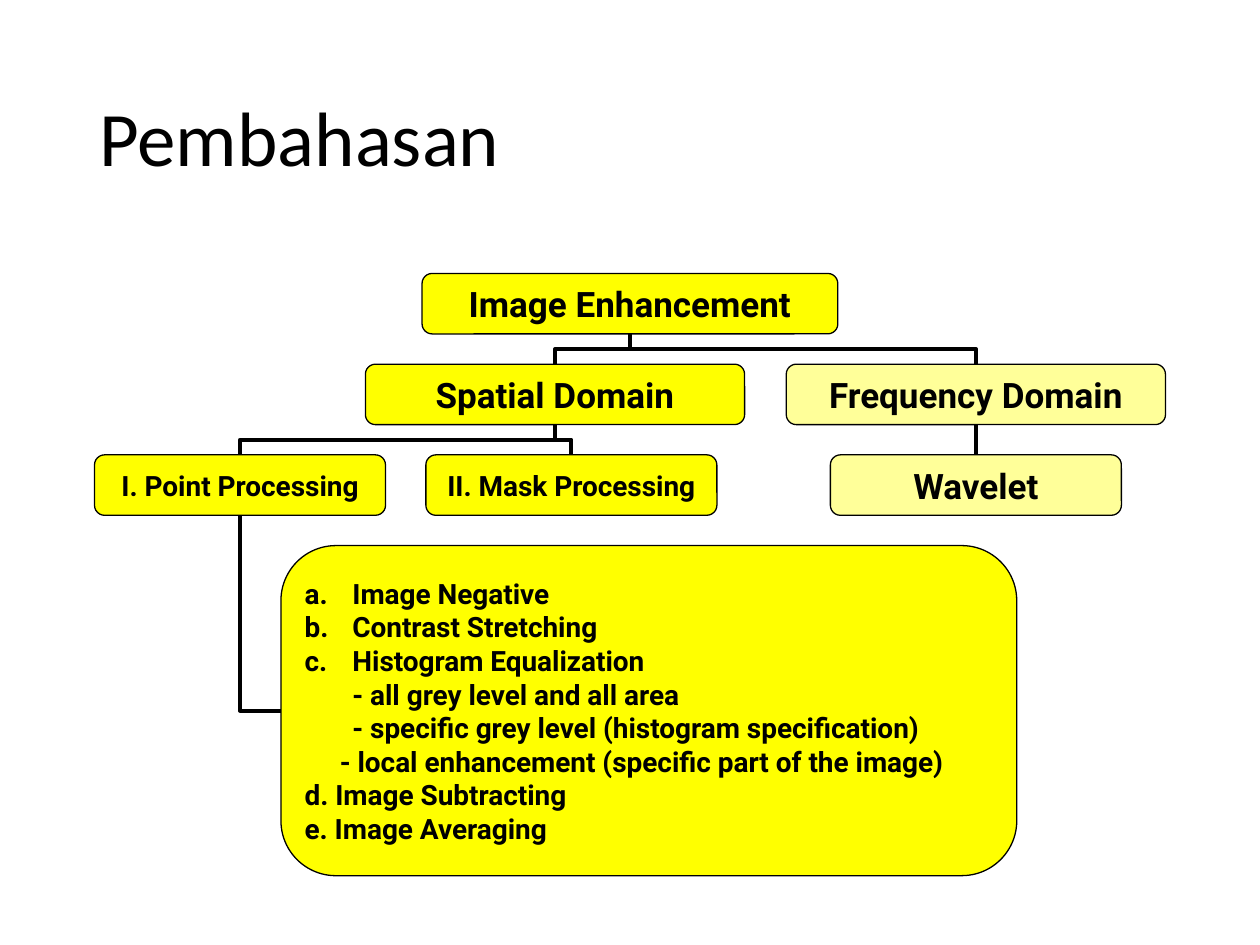
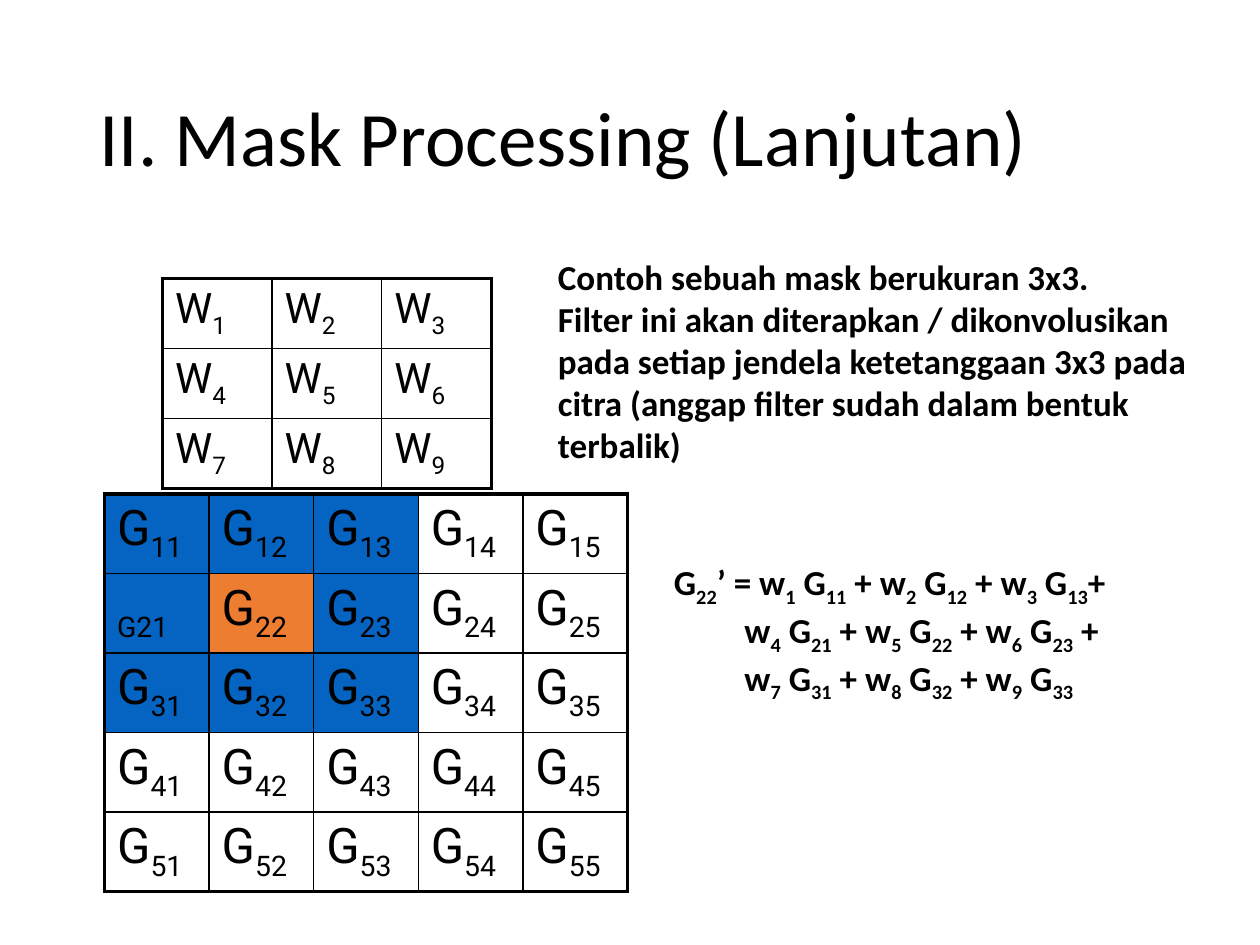
from dataclasses import dataclass

from lxml import etree
from pptx import Presentation
from pptx.dml.color import RGBColor
from pptx.enum.shapes import MSO_CONNECTOR, MSO_SHAPE
from pptx.enum.text import MSO_ANCHOR, PP_ALIGN
from pptx.oxml.ns import qn
from pptx.util import Inches, Pt

ROUNDED = MSO_SHAPE.ROUNDED_RECTANGLE
STRAIGHT, ELBOW = MSO_CONNECTOR.STRAIGHT, MSO_CONNECTOR.ELBOW
MIDDLE, TOP_ANCHOR = MSO_ANCHOR.MIDDLE, MSO_ANCHOR.TOP
CENTER, LEFT_ALIGN = PP_ALIGN.CENTER, PP_ALIGN.LEFT
TOP, LEFT, BOTTOM = 0, 1, 2  # connection sites


@dataclass(frozen=True)
class Theme:
    ink: str = "000000"
    active: str = "FFFF00"
    inactive: str = "FFFF99"
    window: str = "0563C1"
    window_center: str = "ED7D31"
    text_font: str = "Calibri"
    diagram_font: str = "Roboto"
    title_size: int = 44
    body_size: int = 20
    small_size: int = 16
    mask_size: int = 24
    image_size: int = 28
    heavy_line: float = 2.25
    cell_line: float = 1
    box_line: float = 0.75


class Deck:
    """Holds the theme and the slide being built."""

    def __init__(self, theme):
        self.theme = theme
        self.presentation = Presentation()
        self.presentation.slide_width = Inches(10)
        self.presentation.slide_height = Inches(7.5)
        self.slide = None

    def color(self, value):
        return RGBColor.from_string(value)

    def add_text(self, paragraph, text, size, font, bold=False):
        """Add text in which every second part between bars is subscript."""
        for index, part in enumerate(text.split("|")):
            if not part:
                continue
            run = paragraph.add_run()
            run.text = part
            run.font.size = Pt(size)
            run.font.name = font
            run.font.bold = bold
            run.font.color.rgb = self.color(self.theme.ink)
            if index % 2:
                run.font._element.set("baseline", "-25000")

    def indent(self, paragraph, margin, first_line=0, numbered=False):
        properties = paragraph._p.get_or_add_pPr()
        properties.set("marL", str(Inches(margin)))
        properties.set("indent", str(Inches(first_line)))
        if numbered:
            etree.SubElement(properties, qn("a:buAutoNum"), type="alphaLcPeriod")

    def add_slide(self, title):
        self.slide = self.presentation.slides.add_slide(
            self.presentation.slide_layouts[6])
        paragraphs = self.text_box(0.69, 0.4, 8.62, 1.45, [title],
                                   self.theme.title_size, False, MIDDLE)
        paragraphs[0].line_spacing = 0.9

    def fill_lines(self, text_frame, lines, size, font, bold, align=LEFT_ALIGN):
        for index, line in enumerate(lines):
            paragraph = text_frame.add_paragraph() if index else text_frame.paragraphs[0]
            paragraph.alignment = align
            self.add_text(paragraph, line, size, font, bold)

    def text_box(self, left, top, width, height, lines, size,
                 bold=True, anchor=TOP_ANCHOR):
        shape = self.slide.shapes.add_textbox(
            Inches(left), Inches(top), Inches(width), Inches(height))
        text_frame = shape.text_frame
        text_frame.word_wrap = True
        text_frame.vertical_anchor = anchor
        self.fill_lines(text_frame, lines, size, self.theme.text_font, bold)
        return text_frame.paragraphs

    def box(self, left, top, width, height, lines, size, fill,
            align=CENTER, wrap=False):
        shape = self.slide.shapes.add_shape(
            ROUNDED, Inches(left), Inches(top), Inches(width), Inches(height))
        shape.shadow.inherit = False
        shape.fill.solid()
        shape.fill.fore_color.rgb = self.color(fill)
        shape.line.color.rgb = self.color(self.theme.ink)
        shape.line.width = Pt(self.theme.box_line)
        text_frame = shape.text_frame
        text_frame.word_wrap = wrap
        text_frame.vertical_anchor = MIDDLE
        text_frame.margin_left = text_frame.margin_right = Inches(0.06)
        text_frame.margin_top = text_frame.margin_bottom = Inches(0.03)
        self.fill_lines(text_frame, lines, size, self.theme.diagram_font, True, align)
        return shape

    def connect(self, parent, child, kind=ELBOW, child_site=TOP):
        """Join the bottom of the parent to a side of the child."""
        connector = self.slide.shapes.add_connector(kind, 0, 0, 0, 0)
        connector.begin_connect(parent, BOTTOM)
        connector.end_connect(child, child_site)
        connector.line.color.rgb = self.color(self.theme.ink)
        connector.line.width = Pt(self.theme.heavy_line)
        properties = connector._element.spPr
        etree.SubElement(properties, qn("a:effectLst"))
        if kind == ELBOW:
            self.turn_downward(connector)
        if child_site == LEFT:
            properties.find(qn("a:prstGeom")).set("prst", "bentConnector2")

    def turn_downward(self, connector):
        """Rotate an elbow by a quarter so that it leaves its start downward."""
        goes_right = connector.end_x > connector.begin_x
        width, height = connector.width, connector.height
        center_x = connector.left + width // 2
        center_y = connector.top + height // 2
        connector.left, connector.top = center_x - height // 2, center_y - width // 2
        connector.width, connector.height = height, width
        transform = connector._element.spPr.xfrm
        transform.rot = 90
        transform.flipH = False
        transform.flipV = goes_right

    def border(self, cell, side, position, width):
        line = etree.Element(qn(f"a:ln{side}"), w=str(Pt(width)))
        fill = etree.SubElement(line, qn("a:solidFill"))
        etree.SubElement(fill, qn("a:srgbClr"), val=self.theme.ink)
        cell._tc.get_or_add_tcPr().insert(position, line)

    def grid(self, left, top, cell_width, cell_height, texts, size, fills):
        """Square table with a heavy frame; fills maps (row, column) to a colour."""
        count = len(texts)
        last = count - 1
        table = self.slide.shapes.add_table(
            count, count, Inches(left), Inches(top),
            Inches(cell_width * count), Inches(cell_height * count)).table
        table.first_row = table.horz_banding = False
        for row in range(count):
            table.rows[row].height = Inches(cell_height)
            table.columns[row].width = Inches(cell_width)
            for column in range(count):
                cell = table.cell(row, column)
                self.add_text(cell.text_frame.paragraphs[0], texts[row][column],
                              size, self.theme.diagram_font)
                if (row, column) in fills:
                    cell.fill.solid()
                    cell.fill.fore_color.rgb = self.color(fills[row, column])
                else:
                    cell.fill.background()
                on_frame = {"L": column == 0, "R": column == last,
                            "T": row == 0, "B": row == last}
                for position, (side, heavy) in enumerate(on_frame.items()):
                    width = self.theme.heavy_line if heavy else self.theme.cell_line
                    self.border(cell, side, position, width)


def build_overview(deck):
    theme = deck.theme
    deck.add_slide("Pembahasan")

    # Tree of methods
    def node(left, top, width, text, size=theme.body_size, fill=theme.active):
        return deck.box(left, top, width, 0.48, [text], size, fill)

    level_1, level_2, level_3 = (2.17 + 0.72 * level for level in range(3))
    root = node(3.35, level_1, 3.3, "Image Enhancement")
    spatial = node(2.9, level_2, 3.01, "Spatial Domain")
    frequency = node(6.24, level_2, 3.01, "Frequency Domain", fill=theme.inactive)
    point = node(0.75, level_3, 2.31, "I. Point Processing", theme.small_size)
    mask = node(3.38, level_3, 2.31, "II. Mask Processing", theme.small_size)
    wavelet = node(6.59, level_3, 2.31, "Wavelet", fill=theme.inactive)

    # Techniques of point processing: text, margin, first line, numbered
    techniques = [
        ("Image Negative", 0.38, -0.38, True),
        ("Contrast Stretching", 0.38, -0.38, True),
        ("Histogram Equalization", 0.38, -0.38, True),
        ("- all grey level and all area", 0.38, 0, False),
        ("- specific grey level (histogram specification)", 0.38, 0, False),
        ("- local enhancement (specific part of the image)", 0.28, 0, False),
        ("d. Image Subtracting", 0, 0, False),
        ("e. Image Averaging", 0, 0, False),
    ]
    details = deck.box(2.23, 4.33, 5.84, 2.62, [item[0] for item in techniques],
                       theme.small_size, theme.active, LEFT_ALIGN, True)
    for paragraph, item in zip(details.text_frame.paragraphs, techniques):
        deck.indent(paragraph, *item[1:])

    # Branches
    for parent, child in ((root, spatial), (root, frequency),
                          (spatial, point), (spatial, mask)):
        deck.connect(parent, child)
    deck.connect(frequency, wavelet, STRAIGHT)
    deck.connect(point, details, child_site=LEFT)


def build_mask_processing(deck):
    theme = deck.theme
    deck.add_slide("II. Mask Processing (Lanjutan)")

    # Mask weights
    weights = [[f"W|{3 * row + column + 1}" for column in range(3)] for row in range(3)]
    deck.grid(1.29, 2.21, 0.87, 0.54, weights, theme.mask_size, {})
    deck.text_box(4.33, 1.98, 5.67, 1.77, [
        "Contoh sebuah mask berukuran 3x3.",
        "Filter ini akan diterapkan / dikonvolusikan pada setiap jendela "
        "ketetanggaan 3x3 pada citra (anggap filter sudah dalam bentuk terbalik)",
    ], theme.body_size)

    # Grey levels with the 3x3 window
    levels = [[f"G|{row}{column}" for column in range(1, 6)] for row in range(1, 6)]
    levels[1][0] = "|G21"
    fills = {(row, column): theme.window for row in range(3) for column in range(3)}
    fills[1, 1] = theme.window_center
    deck.grid(0.83, 3.92, 0.83, 0.63, levels, theme.image_size, fills)

    # Convolution at the window's centre
    sums = [" + ".join(f"w|{3 * row + column + 1}| G|{row + 1}{column + 1}|"
                       for column in range(3)) for row in range(3)]
    equation = [f"G|22|’ = {sums[0]}+", f"{sums[1]} +", sums[2]]
    paragraphs = deck.text_box(5.25, 4.4, 4.75, 1.1, equation, theme.body_size)
    for paragraph in paragraphs[1:]:
        deck.indent(paragraph, 0.56)


def main():
    deck = Deck(Theme())
    build_overview(deck)
    build_mask_processing(deck)
    deck.presentation.save("out.pptx")


if __name__ == "__main__":
    main()
